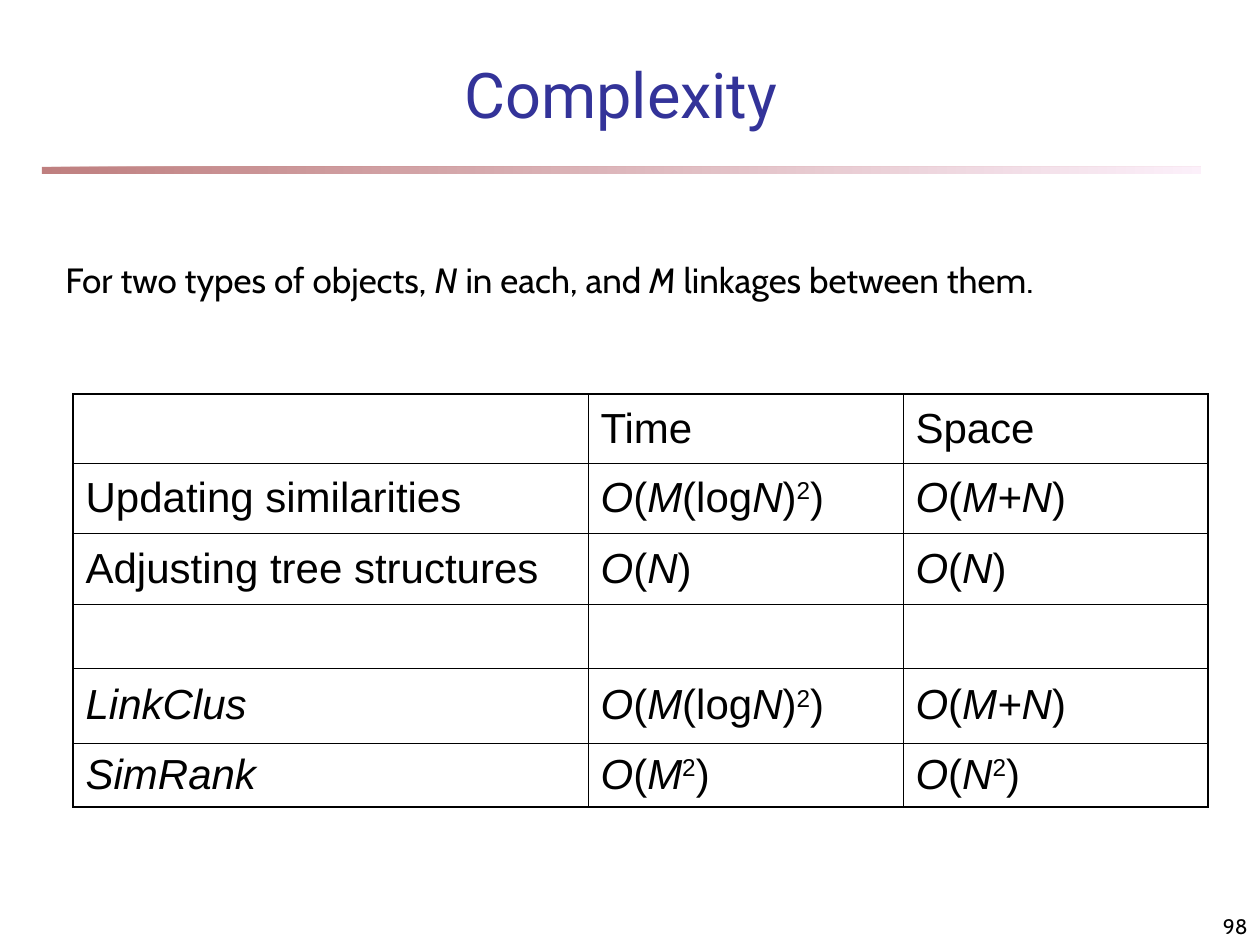
from pptx import Presentation
from pptx.dml.color import RGBColor
from pptx.enum.shapes import MSO_SHAPE
from pptx.enum.text import MSO_ANCHOR, PP_ALIGN
from pptx.oxml.ns import qn
from pptx.oxml.xmlchemy import OxmlElement
from pptx.util import Pt

PX = 914400 // 126
RECT = MSO_SHAPE.RECTANGLE
TOP, MIDDLE, BOTTOM = MSO_ANCHOR.TOP, MSO_ANCHOR.MIDDLE, MSO_ANCHOR.BOTTOM
LEFT, CENTER, RIGHT = PP_ALIGN.LEFT, PP_ALIGN.CENTER, PP_ALIGN.RIGHT
BLACK = RGBColor(0x00, 0x00, 0x00)
NAVY = RGBColor(0x33, 0x33, 0x99)
MAROON = RGBColor(0x80, 0x00, 0x00)
PINK = RGBColor(0xFA, 0xE2, 0xF6)


def write(tf, text, font="Arial", size=24, color=BLACK, align=LEFT, before=0):
    p = tf.paragraphs[0]
    p.alignment = align
    p.space_before = Pt(before)
    for i, part in enumerate(text.split("*")):
        for j, piece in enumerate(part.split("^")):
            if not piece:
                continue
            r = p.add_run()
            r.text = piece
            r.font.name = font
            r.font.size = Pt(size)
            r.font.color.rgb = color
            r.font.italic = i % 2 == 1
            if j % 2:
                r.font._element.set("baseline", "30000")


def border(cell, side, width):
    ln = OxmlElement("a:" + side)
    ln.set("w", str(Pt(width)))
    fill = OxmlElement("a:solidFill")
    clr = OxmlElement("a:srgbClr")
    clr.set("val", str(BLACK))
    fill.append(clr)
    ln.append(fill)
    cell._tc.get_or_add_tcPr().append(ln)


prs = Presentation()
prs.slide_width, prs.slide_height = 1260 * PX, 945 * PX
s = prs.slides.add_slide(prs.slide_layouts[6])

rule = s.shapes.add_shape(RECT, 42 * PX, 167 * PX, 1159 * PX, 7 * PX)
rule.shadow.inherit = False
rule.line.fill.background()
rule.fill.gradient()
rule.fill.gradient_angle = 0
for stop, color, position in zip(rule.fill.gradient_stops, (MAROON, PINK), (0, 1)):
    stop.color.rgb = color
    stop.position = position
for clr in rule._element.spPr.iter(qn("a:srgbClr")):
    alpha = OxmlElement("a:alpha")
    alpha.set("val", "50000")
    clr.append(alpha)

texts = [
    ((84, 53, 1074, 84), BOTTOM, "Complexity",
     dict(font="Roboto", size=36, color=NAVY, align=CENTER)),
    ((53, 252, 1155, 55), TOP,
     "For two types of objects, *N* in each, and *M* linkages between them.",
     dict(font="Cabin", size=20, before=12.5)),
    ((998, 892, 262, 53), BOTTOM, "98", dict(font="Cabin", size=12, align=RIGHT)),
]
for box, anchor, text, style in texts:
    tf = s.shapes.add_textbox(*(v * PX for v in box)).text_frame
    tf.word_wrap = True
    tf.vertical_anchor = anchor
    write(tf, text, **style)

rows = [
    ("", "Time", "Space"),
    ("Updating similarities", "*O*(*M*(log*N*)^2^)", "*O*(*M+N*)"),
    ("Adjusting tree structures", "*O*(*N*)", "*O*(*N*)"),
    ("", "", ""),
    ("*LinkClus*", "*O*(*M*(log*N*)^2^)", "*O*(*M+N*)"),
    ("*SimRank*", "*O*(*M*^2^)", "*O*(*N*^2^)"),
]
widths = [515, 315, 305]
heights = [69, 70, 71, 64, 75, 64]
table = s.shapes.add_table(len(rows), len(widths), 73 * PX, 394 * PX,
                           sum(widths) * PX, sum(heights) * PX).table
table.first_row = table.horz_banding = False
for col, width in zip(table.columns, widths):
    col.width = width * PX
for row, height in zip(table.rows, heights):
    row.height = height * PX
for i, row in enumerate(rows):
    for j, text in enumerate(row):
        cell = table.cell(i, j)
        cell.vertical_anchor = MIDDLE
        write(cell.text_frame, text, before=6)
        edges = {"lnL": j == 0, "lnR": j == len(widths) - 1,
                 "lnT": i == 0, "lnB": i == len(rows) - 1}
        for side, outer in edges.items():
            border(cell, side, 1.08 if outer else 0.45)
        cell.fill.background()

prs.save("out.pptx")
